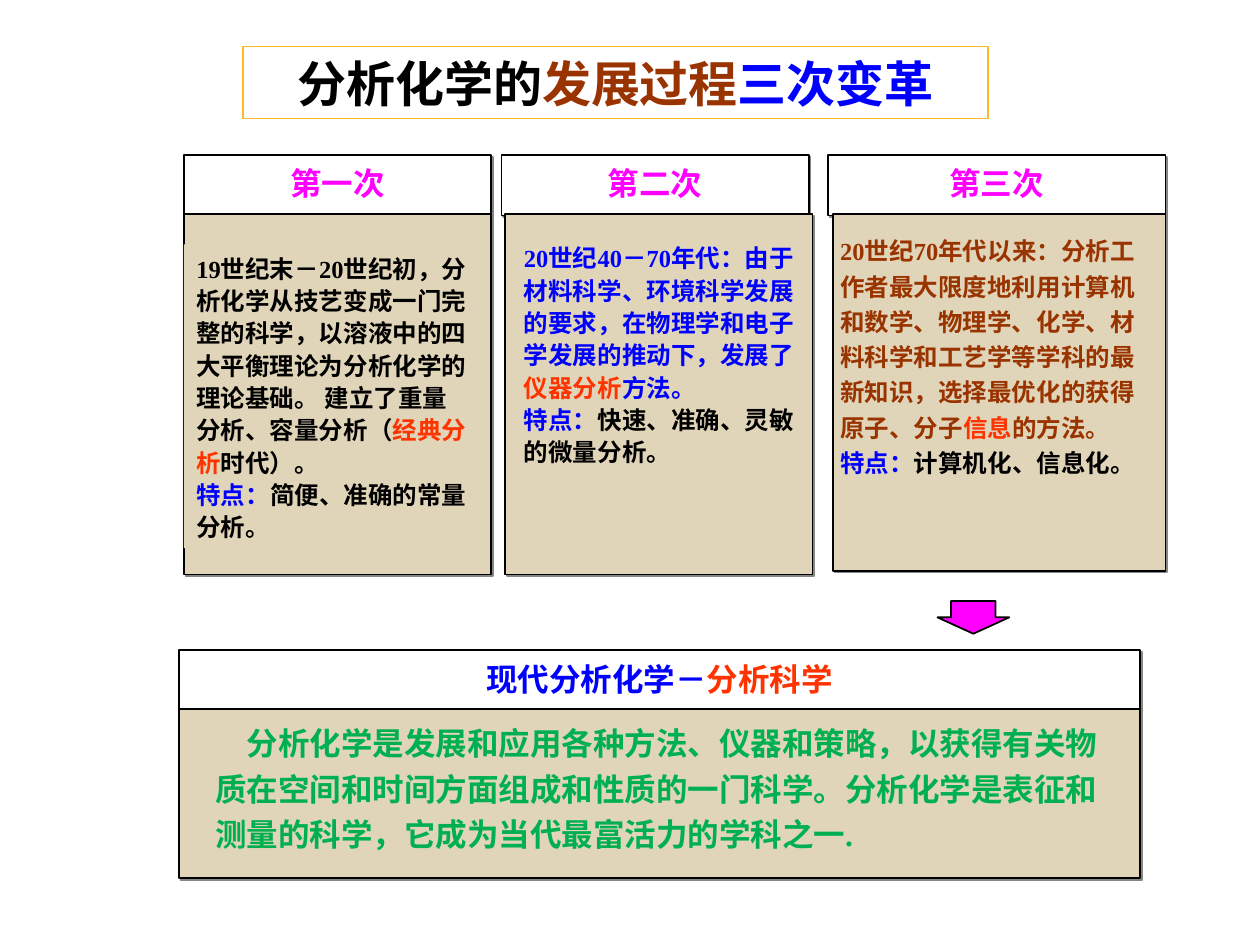
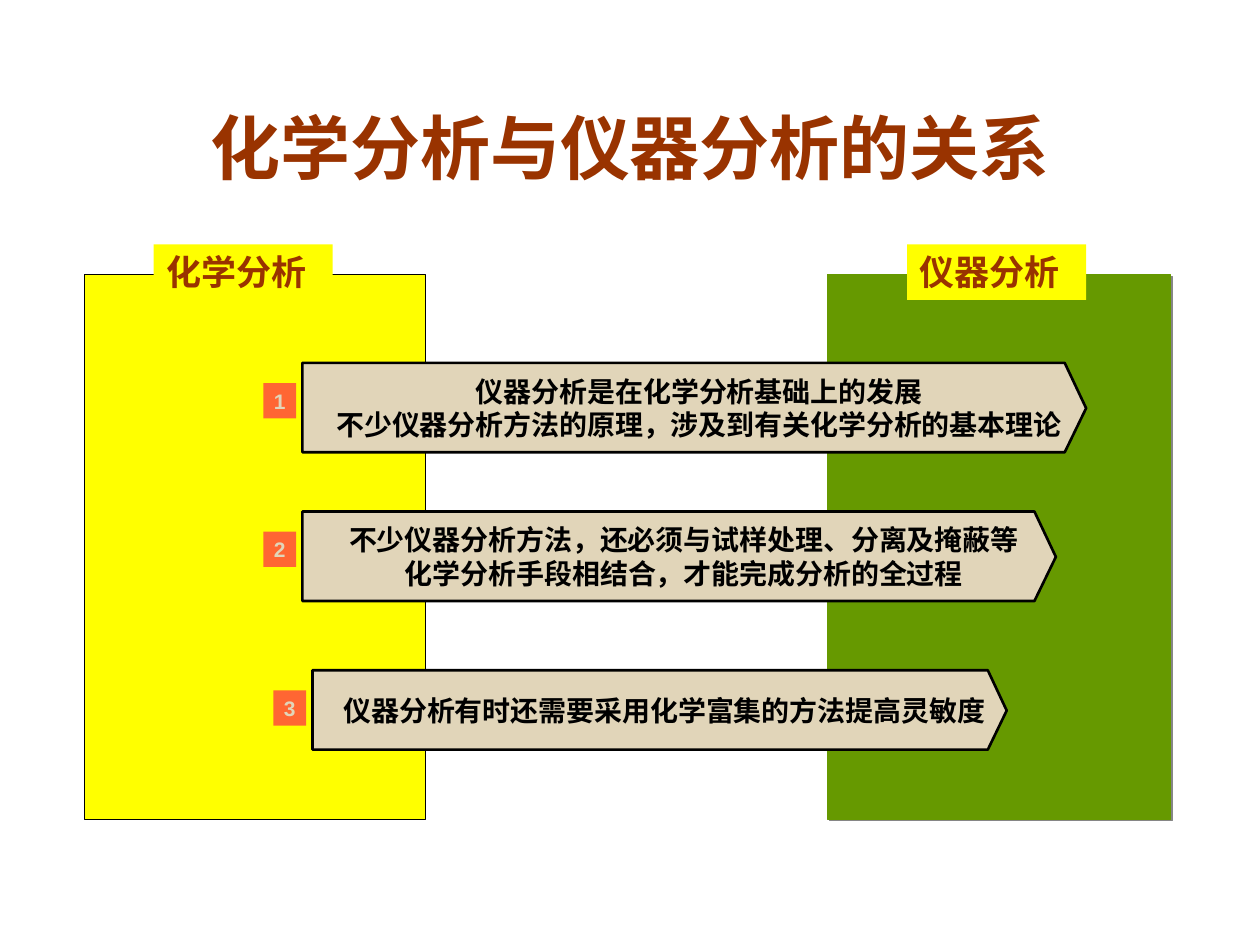
from lxml import etree
from pptx import Presentation
from pptx import util as u
from pptx.dml.color import RGBColor
from pptx.enum import shapes, text
from pptx.oxml.ns import qn

PX = 9144  # 100 px to the inch
TITLE_ONLY = 5
SERIF, SANS = "Times New Roman", "Arial"
BLACK, WHITE, BLUE, RED, BROWN = "000000", "FFFFFF", "0000FF", "FF3300", "993300"
MAGENTA, GREEN, YELLOW, OLIVE = "FF00FF", "00B050", "FFFF00", "669900"
ORANGE, GOLD, SAND, SHADOW = "FF6633", "FFB829", "E1D5B9", "868686"
LEFT, CENTER = text.PP_ALIGN.LEFT, text.PP_ALIGN.CENTER
TOP, MIDDLE = text.MSO_ANCHOR.TOP, text.MSO_ANCHOR.MIDDLE


def px(*lengths):
    return [u.Emu(length * PX) for length in lengths]


def color(hex_string):
    return RGBColor.from_string(hex_string)


def write(shape, paragraphs, size, font=SERIF, align=LEFT, anchor=TOP,
          spacing=None, insets=(10, 5, 10, 5), wrap=True, indent=0):
    """Fill a shape with paragraphs, each a list of (words, colour) runs."""
    frame = shape.text_frame
    frame.word_wrap = wrap
    frame.auto_size = text.MSO_AUTO_SIZE.NONE
    frame.vertical_anchor = anchor
    (frame.margin_left, frame.margin_top,
     frame.margin_right, frame.margin_bottom) = px(*insets)
    for index, runs in enumerate(paragraphs):
        paragraph = frame.add_paragraph() if index else frame.paragraphs[0]
        paragraph.alignment = align
        if spacing:
            paragraph.line_spacing = spacing
        if indent:
            paragraph._p.get_or_add_pPr().set("indent", str(indent * PX))
        paragraph.font.name = font
        paragraph.font.size = u.Pt(size)
        paragraph.font.bold = True
        for words, hue in runs:
            run = paragraph.add_run()
            run.text = words
            run.font.color.rgb = color(hue)


def paint(shape, fill, line=None, width=1, shadow=False):
    shape.shadow.inherit = False
    shape.fill.solid()
    shape.fill.fore_color.rgb = color(fill)
    if line:
        shape.line.color.rgb = color(line)
        shape.line.width = u.Pt(width)
    else:
        shape.line.fill.background()
    if shadow:
        effects = shape._element.spPr.find(qn("a:effectLst"))
        outer = etree.SubElement(effects, qn("a:outerShdw"), dist=str(u.Pt(1.4)),
                                 dir="2700000", algn="ctr", rotWithShape="0")
        etree.SubElement(outer, qn("a:srgbClr"), val=SHADOW)


def add_panel(slide, box, fill, line=None, width=1, shadow=False,
              kind=shapes.MSO_SHAPE.RECTANGLE):
    panel = slide.shapes.add_shape(kind, *px(*box))
    paint(panel, fill, line, width, shadow)
    return panel


def add_title(slide, box, runs, size):
    title = slide.shapes.title
    title.left, title.top, title.width, title.height = px(*box)
    write(title, [runs], size, align=CENTER, anchor=MIDDLE)
    return title


def add_header(slide, box, runs):
    header = add_panel(slide, box, WHITE, BLACK, shadow=True)
    write(header, [runs], 18, align=CENTER, anchor=MIDDLE, spacing=0.9)


def add_card(slide, box, words_box, paragraphs, size, spacing, indent=0):
    add_panel(slide, box, SAND, BLACK, shadow=True)
    words = slide.shapes.add_textbox(*px(*words_box))
    write(words, paragraphs, size, spacing=spacing, indent=indent)
    return words


def add_banner(slide, number, left, top, width, height, lines):
    """Draw a pointed banner with its numbered badge to the left."""
    right, tip = left + width, height // 4
    outline = slide.shapes.build_freeform(left, top, scale=PX)
    outline.add_line_segments([(right - tip, top), (right, top + height / 2),
                               (right - tip, top + height), (left, top + height)])
    banner = outline.convert_to_shape()
    paint(banner, SAND, BLACK, 1.5)
    write(banner, [[(line, BLACK)] for line in lines], 16, align=CENTER,
          anchor=MIDDLE, insets=(8, 0, 0, 0), wrap=False)
    badge = add_panel(slide, (left - 31, top + 16, 26, 28), ORANGE)
    write(badge, [[(str(number), SAND)]], 12, SANS, CENTER, MIDDLE,
          insets=(0, 0, 0, 0))


def build_three_changes(slide):
    title = add_title(slide, (193, 37, 591, 57),
                      [("分析化学的", BLACK), ("发展过程", BROWN), ("三次变革", BLUE)], 28)
    title.line.color.rgb = color(GOLD)
    title.line.width = u.Pt(1)

    for name, left, width in (("第一次", 146, 244), ("第二次", 398, 244),
                              ("第三次", 657, 268)):
        add_header(slide, (left, 123, width, 48), [(name, MAGENTA)])

    first = add_card(slide, (146, 170, 244, 286), (146, 194, 236, 241), [
        [("19世纪末－20世纪初，分析化学从技艺变成一门完整的科学，以溶液中的四大平衡理论为"
          "分析化学的理论基础。 建立了重量分析、容量分析（", BLACK),
         ("经典分析", RED), ("时代）。", BLACK)],
        [("特点：", BLUE), ("简便、准确的常量分析。", BLACK)]], 14, 1.1)
    first.fill.solid()
    first.fill.fore_color.rgb = color(SAND)
    add_card(slide, (401, 170, 244, 286), (406, 186, 236, 190), [
        [("20世纪40－70年代：由于材料科学、环境科学发展的要求，在物理学和电子学发展的"
          "推动下，发展了", BLUE), ("仪器分析", RED), ("方法。", BLUE)],
        [("特点：", BLUE), ("快速、准确、灵敏的微量分析。", BLACK)]], 14, 1.1)
    add_card(slide, (661, 170, 264, 283), (657, 178, 260, 234), [
        [("20世纪70年代以来：分析工作者最大限度地利用计算机和数学、物理学、化学、材料科学和"
          "工艺学等学科的最新知识，选择最优化的获得原子、分子", BROWN),
         ("信息", RED), ("的方法。", BROWN)],
        [("特点：", BLUE), ("计算机化、信息化。", BLACK)]], 14, 1.2)

    arrow = add_panel(slide, (744, 477, 57, 26), MAGENTA, BLACK,
                      kind=shapes.MSO_SHAPE.DOWN_ARROW)
    arrow.adjustments[0], arrow.adjustments[1] = 0.62, 0.5

    add_header(slide, (142, 516, 763, 49), [("现代分析化学－", BLUE), ("分析科学", RED)])
    add_card(slide, (142, 563, 763, 134), (161, 564, 728, 118), [
        [("分析化学是发展和应用各种方法、仪器和策略，以获得有关物质在空间和时间方面组成和性质的"
          "一门科学。分析化学是表征和测量的科学，它成为当代最富活力的学科之一.", GREEN)]],
        18, 1.2, indent=25)


def build_relation(slide):
    add_title(slide, (75, 76, 850, 80), [("化学分析与仪器分析的关系", BROWN)], 40)
    add_panel(slide, (67, 218, 271, 432), YELLOW, BLACK, 0.5)
    add_panel(slide, (657, 218, 272, 432), OLIVE, OLIVE, 0.5, shadow=True)

    banners = (
        (240, 288, 622, 71, ["仪器分析是在化学分析基础上的发展",
                             "不少仪器分析方法的原理，涉及到有关化学分析的基本理论"]),
        (240, 406, 598, 71, ["不少仪器分析方法，还必须与试样处理、分离及掩蔽等",
                             "化学分析手段相结合，才能完成分析的全过程"]),
        (248, 532, 551, 63, ["仪器分析有时还需要采用化学富集的方法提高灵敏度"]),
    )
    for number, banner in enumerate(banners, 1):
        add_banner(slide, number, *banner)

    for field, left in (("化学分析", 122), ("仪器分析", 720)):
        label = add_panel(slide, (left, 194, 142, 44), YELLOW)
        write(label, [[(field, BROWN)]], 20)


def main():
    deck = Presentation()
    deck.slide_width, deck.slide_height = px(1000, 750)
    for build in (build_three_changes, build_relation):
        build(deck.slides.add_slide(deck.slide_layouts[TITLE_ONLY]))
    deck.save("out.pptx")


if __name__ == "__main__":
    main()
